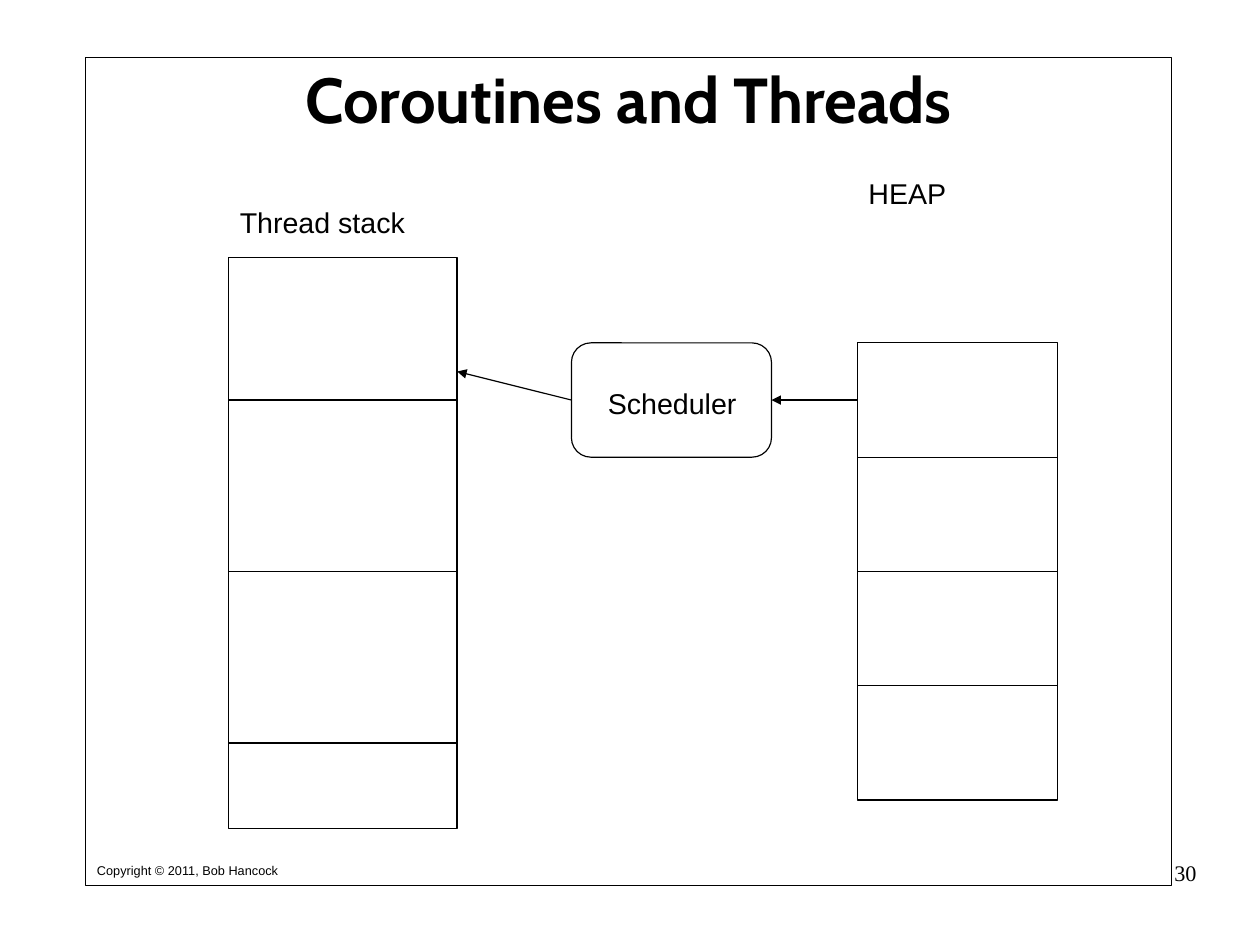
"""Build the Coroutines and Threads slide."""
from lxml import etree
from pptx import Presentation
from pptx.dml.color import RGBColor
from pptx.enum.shapes import MSO_CONNECTOR, MSO_SHAPE
from pptx.enum.text import MSO_ANCHOR, PP_ALIGN
from pptx.oxml.ns import qn
from pptx.util import Emu, Pt

PX = 9144
STRAIGHT = MSO_CONNECTOR.STRAIGHT
RECT, ROUNDED = MSO_SHAPE.RECTANGLE, MSO_SHAPE.ROUNDED_RECTANGLE
LEFT, CENTER, RIGHT = PP_ALIGN.LEFT, PP_ALIGN.CENTER, PP_ALIGN.RIGHT
TOP, MIDDLE = MSO_ANCHOR.TOP, MSO_ANCHOR.MIDDLE
COLORS = {"ink": "000000", "paper": "FFFFFF"}
INK = RGBColor.from_string(COLORS["ink"])

prs = Presentation()
prs.slide_width, prs.slide_height = Emu(10080625), Emu(7559675)
s = prs.slides.add_slide(prs.slide_layouts[6])
s.background.fill.solid()
s.background.fill.fore_color.rgb = RGBColor.from_string(COLORS["paper"])


def add_box(kind, x, y, w, h):
    sp = s.shapes.add_shape(kind, x * PX, y * PX, w * PX, h * PX)
    sp.shadow.inherit = False
    sp.fill.background()
    sp.line.color.rgb = INK
    sp.line.width = Pt(0.75)
    return sp


def add_line(x1, y1, x2, y2, arrow=False):
    line = s.shapes.add_connector(STRAIGHT, x1 * PX, y1 * PX, x2 * PX, y2 * PX)
    line.line.color.rgb = INK
    line.line.width = Pt(0.75)
    if arrow:
        etree.SubElement(line.line._get_or_add_ln(), qn("a:tailEnd"), type="triangle")
    etree.SubElement(line._element.spPr, qn("a:effectLst"))
    return line


add_box(RECT, 75, 50, 950, 725)
scheduler = add_box(ROUNDED, 500, 300, 175, 100)
scheduler.adjustments[0] = 0.17

stacks = [
    (200, 225, 200, 500, (350, 500, 650)),
    (750, 300, 175, 400, (400, 500, 600)),
]
for x, y, w, h, dividers in stacks:
    add_box(RECT, x, y, w, h)
    for divider in dividers:
        add_line(x, divider, x + w, divider)

add_line(500, 350, 400, 325, arrow=True).begin_connect(scheduler, 1)
add_line(750, 350, 675, 350, arrow=True).end_connect(scheduler, 3)

label = (10, 7, 10, 5)
texts = [
    ("Coroutines and Threads", 75, 50, 950, 75, (0, 2, 0, 0), "Cabin", 40, CENTER, MIDDLE, 0.97, True),
    ("Copyright © 2011, Bob Hancock", 75, 750, 182, 22, (10, 6, 10, 5), "Arial", 8, LEFT, TOP, 0.93, False),
    ("Thread stack", 200, 175, 168, 38, label, "Arial", 18, LEFT, TOP, 0.93, False),
    ("Scheduler", 522, 333, 136, 38, label, "Arial", 18, LEFT, TOP, 0.93, False),
    ("HEAP", 750, 150, 92, 38, label, "Arial", 18, LEFT, TOP, 0.93, False),
    ("30", 790, 754, 257, 57, (0, 0, 0, 0), "Times New Roman", 14, RIGHT, TOP, 0.93, False),
]
for text, x, y, w, h, insets, font, size, align, anchor, spacing, bold in texts:
    tf = s.shapes.add_textbox(x * PX, y * PX, w * PX, h * PX).text_frame
    tf.text = text
    tf.word_wrap = True
    tf.vertical_anchor = anchor
    tf.margin_left, tf.margin_top, tf.margin_right, tf.margin_bottom = [i * PX for i in insets]
    p = tf.paragraphs[0]
    p.alignment = align
    p.line_spacing = spacing
    r = p.runs[0]
    r.font.name = font
    r.font.size = Pt(size)
    r.font.bold = bold
    r.font.color.rgb = INK

prs.save("out.pptx")
